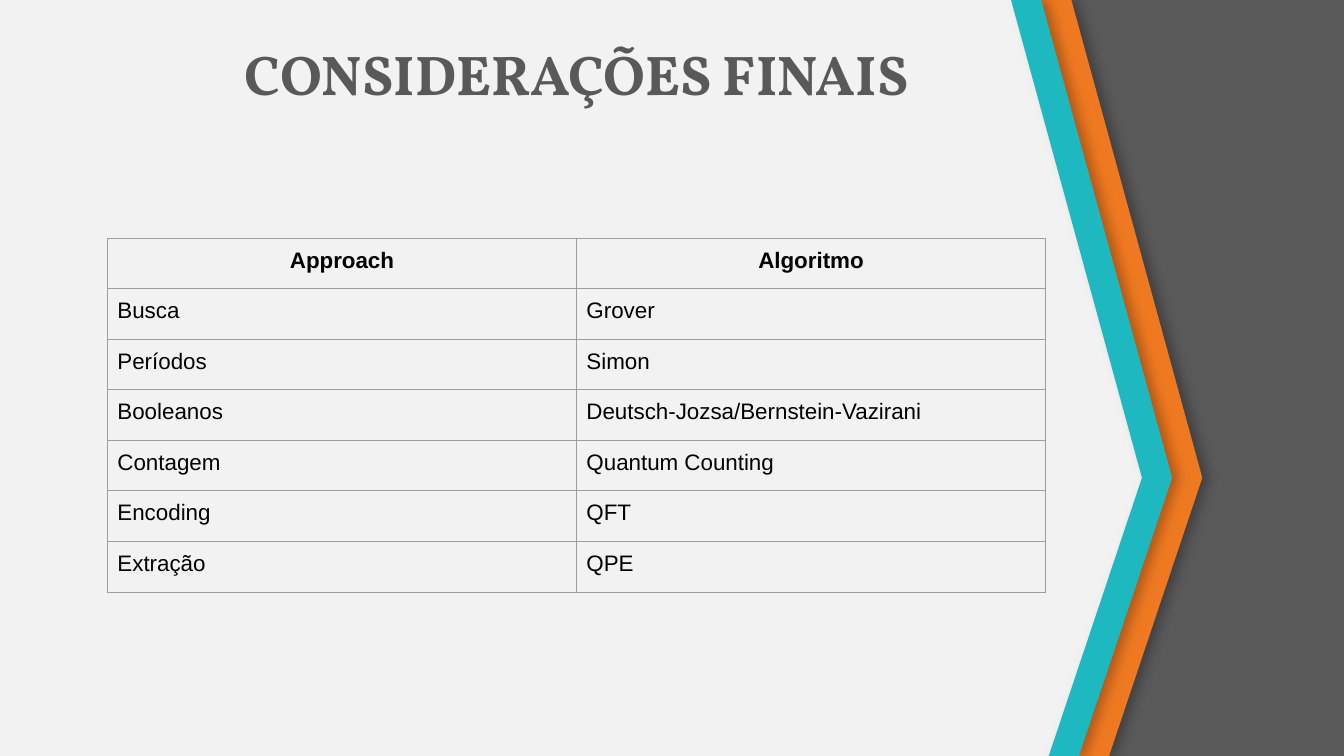
from dataclasses import dataclass

from lxml.etree import SubElement
from pptx import Presentation
from pptx.dml.color import RGBColor as Rgb
from pptx.enum.text import MSO_ANCHOR as Anchor, MSO_AUTO_SIZE as Auto, PP_ALIGN as Align
from pptx.oxml import parse_xml
from pptx.oxml.ns import nsdecls, qn
from pptx.util import Cm, Pt

WIDE, HIGH = 33.87, 19.05
TIP = 12.04  # height of the arrow point
SHIFTS = ((0, 0), (3.3, TIP), (0.95, HIGH))


@dataclass(frozen=True)
class Theme:
    back: str = "F2F2F2"
    dark: str = "595959"
    warm: str = "EF7920"
    cool: str = "1EB8C1"
    ink: str = "000000"
    rule: str = "9E9E9E"
    head: str = "Vollkorn"
    body: str = "Arial"
    big: int = 40
    small: int = 16


def assign(item, values):
    for name, value in values.items():
        setattr(item, name, value)


def edge(left):
    """Slanted outline, from top through the arrow point to the bottom."""
    return [(left + dx, y) for dx, y in SHIFTS]


class Page:
    def __init__(self, slide, theme):
        self.slide, self.theme = slide, theme
        fill = slide.background.fill
        fill.solid()
        fill.fore_color.rgb = Rgb.from_string(theme.back)

    def style(self, para, size, face, color, bold, align):
        assign(para, {"alignment": align})
        for run in para.runs:
            assign(run.font, {"size": Pt(size), "name": face, "bold": bold})
            run.font.color.rgb = Rgb.from_string(color)

    def title(self, text, left, top, width, height):
        box, look = self.slide.shapes.title, self.theme
        assign(box, {"left": Cm(left), "top": Cm(top),
                     "width": Cm(width), "height": Cm(height)})
        frame = box.text_frame
        frame.text = text
        assign(frame, {"vertical_anchor": Anchor.BOTTOM, "word_wrap": True,
                       "auto_size": Auto.NONE})
        para = frame.paragraphs[0]
        para.line_spacing = 0.9
        self.style(para, look.big, look.head, look.dark, True, Align.CENTER)

    def band(self, points, color, shade=False):
        start, *rest = [(Cm(x), Cm(y)) for x, y in points]
        pen = self.slide.shapes.build_freeform(*start)
        pen.add_line_segments(rest, close=True)
        shape = pen.convert_to_shape()
        shape.fill.solid()
        shape.fill.fore_color.rgb = Rgb.from_string(color)
        shape.line.fill.background()
        shape.shadow.inherit = False
        if shade:
            effect = shape.element.spPr.find(qn("a:effectLst"))
            glow = SubElement(effect, qn("a:outerShdw"), blurRad=str(Pt(8)),
                              dist=str(Pt(4)), dir="0", algn="l", rotWithShape="0")
            tint = SubElement(glow, qn("a:srgbClr"), val=self.theme.ink)
            SubElement(tint, qn("a:alpha"), val="25000")

    def frame(self, cell):
        """Thin border on all four sides of a cell."""
        props = cell._tc.get_or_add_tcPr()
        for spot, side in enumerate("LRTB"):
            props.insert(spot, parse_xml(
                f'<a:ln{side} {nsdecls("a")} w="{Pt(0.75)}"><a:solidFill>'
                f'<a:srgbClr val="{self.theme.rule}"/></a:solidFill></a:ln{side}>'))

    def table(self, rows, left, top, wide, high):
        look = self.theme
        count = len(rows[0])
        grid = self.slide.shapes.add_table(
            len(rows), count, Cm(left), Cm(top),
            Cm(wide * count), Cm(high * len(rows))).table
        assign(grid, {"first_row": False, "horz_banding": False})
        for col in grid.columns:
            col.width = Cm(wide)
        pad = {f"margin_{side}": Cm(0.25)
               for side in ("left", "right", "top", "bottom")}
        for r, row in enumerate(rows):
            grid.rows[r].height = Cm(high)
            for c, text in enumerate(row):
                cell = grid.cell(r, c)
                cell.text = text
                assign(cell, pad)
                cell.fill.background()
                self.frame(cell)
                self.style(cell.text_frame.paragraphs[0], look.small, look.body,
                           look.ink, r == 0, Align.LEFT if r else Align.CENTER)


ROWS = [
    ("Approach", "Algoritmo"),
    ("Busca", "Grover"),
    ("Períodos", "Simon"),
    ("Booleanos", "Deutsch-Jozsa/Bernstein-Vazirani"),
    ("Contagem", "Quantum Counting"),
    ("Encoding", "QFT"),
    ("Extração", "QPE"),
]


def main():
    deck = Presentation()
    assign(deck, {"slide_width": Cm(WIDE), "slide_height": Cm(HIGH)})
    look = Theme()
    page = Page(deck.slides.add_slide(deck.slide_layouts[5]), look)
    page.band(edge(26.72) + [(WIDE, HIGH), (WIDE, 0)], look.dark)
    for left, right, color in ((25.65, 27, look.warm), (25.48, 26.24, look.cool)):
        page.band(edge(left) + edge(right)[::-1], color, shade=True)
    page.title("CONSIDERAÇÕES FINAIS", 3.61, 0.61, 21.84, 2.24)
    page.table(ROWS, 2.71, 6, 11.82, 1.275)
    deck.save("out.pptx")


if __name__ == "__main__":
    main()
